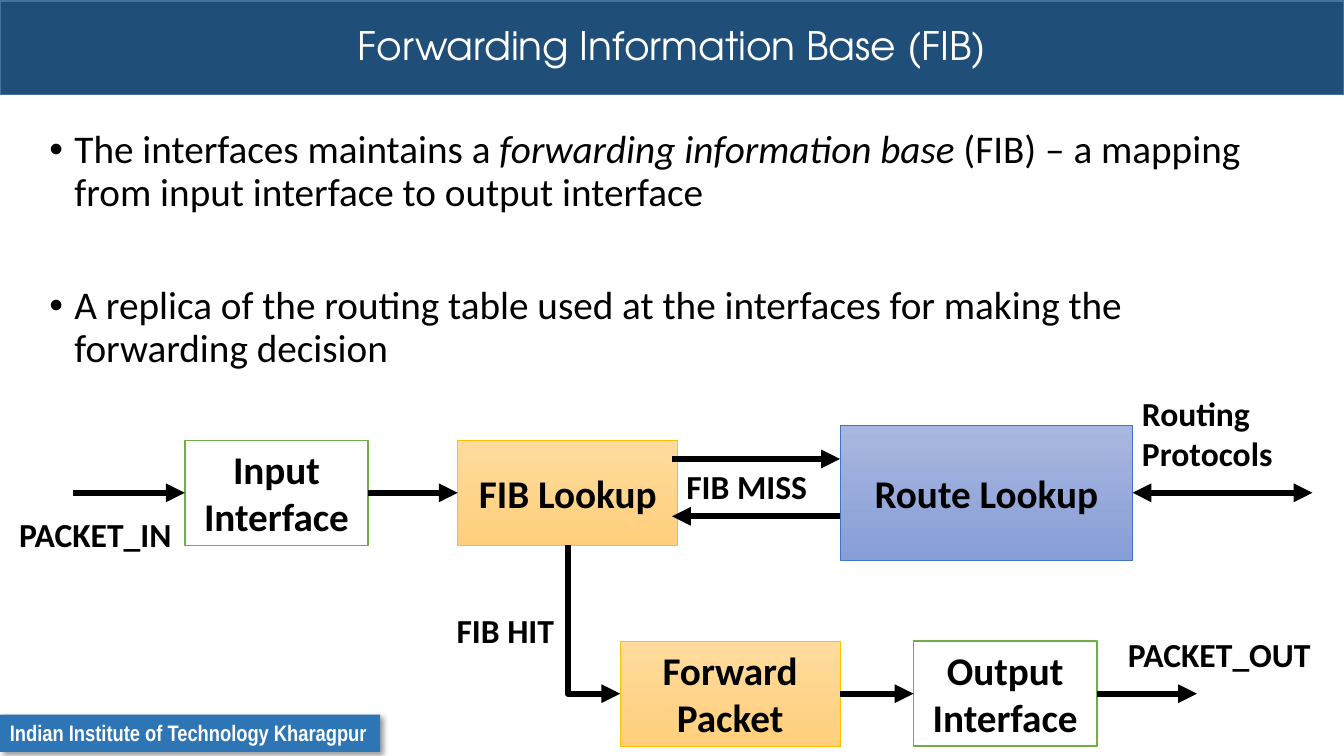
from lxml import etree
from pptx import Presentation
from pptx.dml.color import RGBColor
from pptx.enum import shapes, text
from pptx.oxml import ns
from pptx.util import Pt

BLACK, WHITE, GREEN, GOLD = "000000", "FFFFFF", "70AD47", "FFC000"
AMBER, PERIWINKLE = ("FFDB9E", "FFD07C"), ("A8B7DF", "889ED7")
UPPER, LOWER = 352, 495.5


def colour(value):
    """Turn a hex string into a colour."""
    return RGBColor.from_string(value)


def add_element(parent, tag, **attributes):
    """Append a drawing element and return it."""
    element = etree.SubElement(parent, ns.qn(tag))
    for name, value in attributes.items():
        element.set(name, str(value))
    return element


def place(shape, left, top, width, height):
    """Position a shape, in points."""
    shape.left, shape.top = Pt(left), Pt(top)
    shape.width, shape.height = Pt(width), Pt(height)


def write(shape, content, size=28, font="Calibri", ink=BLACK, bold=False,
          align=text.PP_ALIGN.LEFT, anchor=text.MSO_ANCHOR.TOP,
          wrap=True, spacing=None, gap=0, bullet=None):
    """Fill a shape with one paragraph per line; asterisks enclose italics."""
    frame = shape.text_frame
    frame.auto_size = text.MSO_AUTO_SIZE.NONE
    frame.word_wrap, frame.vertical_anchor = wrap, anchor
    for index, line in enumerate(content.split("\n")):
        paragraph = frame.add_paragraph() if index else frame.paragraphs[0]
        paragraph.alignment = align
        paragraph.space_before = Pt(gap if index else 0)
        if spacing:
            paragraph.line_spacing = spacing
        if bullet:
            properties = paragraph._p.get_or_add_pPr()
            properties.set("marL", str(Pt(18)))
            properties.set("indent", str(Pt(-18)))
            add_element(properties, "a:buFont", typeface="Arial")
            add_element(properties, "a:buChar", char=bullet)
        for position, part in enumerate(line.split("*")):
            run = paragraph.add_run()
            run.text = part
            run.font.size, run.font.name = Pt(size), font
            run.font.bold, run.font.italic = bold, position % 2 == 1
            run.font.color.rgb = colour(ink)


def paint(shape, fill, line=None, weight=1):
    """Give a shape a plain or two-colour downward fill, and an outline."""
    if isinstance(fill, tuple):
        shape.fill.gradient()
        shape.fill.gradient_angle = 270
        for stop, value in zip(shape.fill.gradient_stops, fill):
            stop.color.rgb = colour(value)
    else:
        shape.fill.solid()
        shape.fill.fore_color.rgb = colour(fill)
    if line:
        shape.line.color.rgb = colour(line)
        shape.line.width = Pt(weight)
    else:
        shape.line.fill.background()


def add_box(slide, left, top, width, height, fill, line=None, weight=1):
    """Add a rectangle without a shadow."""
    box = slide.shapes.add_shape(
        shapes.MSO_SHAPE.RECTANGLE, Pt(left), Pt(top), Pt(width), Pt(height))
    box.shadow.inherit = False
    paint(box, fill, line, weight)
    return box


def add_stage(slide, caption, left, middle, width, height, fill, line, weight):
    """Add a captioned stage centred on a row of the diagram."""
    box = add_box(slide, left, middle - height / 2, width, height, fill, line, weight)
    write(box, caption, bold=True, align=text.PP_ALIGN.CENTER,
          anchor=text.MSO_ANCHOR.MIDDLE)


def add_label(slide, caption, left, top, width, height=36):
    """Add a bold diagram label."""
    box = slide.shapes.add_textbox(Pt(left), Pt(top), Pt(width), Pt(height))
    write(box, caption, size=24, bold=True)


def add_arrow(slide, x1, y1, x2, y2, double=False):
    """Add a thick black arrow."""
    arrow = slide.shapes.add_connector(
        shapes.MSO_CONNECTOR.STRAIGHT, Pt(x1), Pt(y1), Pt(x2), Pt(y2))
    arrow.line.color.rgb = colour(BLACK)
    arrow.line.width = Pt(4.5)
    line = arrow.line._get_or_add_ln()
    if double:
        add_element(line, "a:headEnd", type="triangle")
    add_element(line, "a:tailEnd", type="triangle")
    add_element(arrow._element.spPr, "a:effectLst")
    return arrow


def add_elbow(slide, x1, y1, x2, y2):
    """Add an arrow that runs down and then right."""
    centre_x, centre_y = (x1 + x2) / 2, (y1 + y2) / 2
    half_run, half_rise = (y2 - y1) / 2, (x2 - x1) / 2
    arrow = add_arrow(slide, centre_x + half_run, centre_y - half_rise,
                      centre_x - half_run, centre_y + half_rise)
    properties = arrow._element.spPr
    properties.find(ns.qn("a:xfrm")).set("rot", str(270 * 60000))
    properties.find(ns.qn("a:prstGeom")).set("prst", "bentConnector2")


def add_footer(slide):
    """Add the institute tag with its soft shadow."""
    tag = add_box(slide, 0, 510.5, 271.5, 26.6, "2E75B6")
    write(tag, "Indian Institute of Technology Kharagpur", size=16,
          font="Arial Narrow", ink=WHITE, bold=True, wrap=False)
    effects = tag._element.spPr.find(ns.qn("a:effectLst"))
    shadow = add_element(effects, "a:outerShdw", blurRad=Pt(4), dist=Pt(3),
                         dir=45 * 60000, algn="tl", rotWithShape=0)
    shade = add_element(shadow, "a:srgbClr", val=BLACK)
    add_element(shade, "a:alpha", val=40000)


def add_diagram(slide):
    """Draw the packet forwarding diagram."""
    for stage in (
        ("FIB Lookup", 327, UPPER, 157, 75, AMBER, GOLD, 0.5),
        ("Route Lookup", 600, UPPER, 209, 96.5, PERIWINKLE, "4472C4", 0.5),
        ("Forward Packet", 443, LOWER, 157, 75, AMBER, GOLD, 0.5),
        ("Input Interface", 132, UPPER, 131, 75, WHITE, GREEN, 1),
        ("Output\nInterface", 652.5, LOWER, 131, 75, WHITE, GREEN, 1),
    ):
        add_stage(slide, *stage)
    for start, end, height in (
        (52, 132, UPPER), (263, 327, UPPER), (480, 600, 327.8),
        (600, 480, 368.8), (600, 652.5, LOWER), (783.5, 855, LOWER),
    ):
        add_arrow(slide, start, height, end, height)
    add_arrow(slide, 809, UPPER, 937.5, UPPER, double=True)
    add_elbow(slide, 405.5, 389.5, 443, LOWER)
    for label in (
        ("PACKET_IN", 6.5, 363.6, 131),
        ("PACKET_OUT", 798.5, 449.3, 156),
        ("Routing Protocols", 808.6, 277.2, 156, 65.5),
        ("FIB HIT", 319, 432, 131),
        ("FIB MISS", 483.1, 329, 131),
    ):
        add_label(slide, *label)


def main():
    """Build and save the presentation."""
    presentation = Presentation()
    presentation.slide_width, presentation.slide_height = Pt(960), Pt(540)
    slide = presentation.slides.add_slide(presentation.slide_layouts[1])
    title, body = slide.shapes.title, slide.placeholders[1]
    place(title, 0, 0.7, 960, 67)
    paint(title, "1F4E79", "43739E")
    write(title, "Forwarding Information Base (FIB)", font="TeX Gyre Adventor",
          ink=WHITE, align=text.PP_ALIGN.CENTER,
          anchor=text.MSO_ANCHOR.MIDDLE, spacing=0.9)
    place(body, 28, 89.3, 909.4, 421.2)
    write(body, "The interfaces maintains a *forwarding information base *(FIB) – "
          "a mapping from input interface to output interface\n"
          "A replica of the routing table used at the interfaces for making the "
          "forwarding decision", spacing=0.9, gap=50.8, bullet="•")
    add_footer(slide)
    add_diagram(slide)
    presentation.save("out.pptx")


if __name__ == "__main__":
    main()
